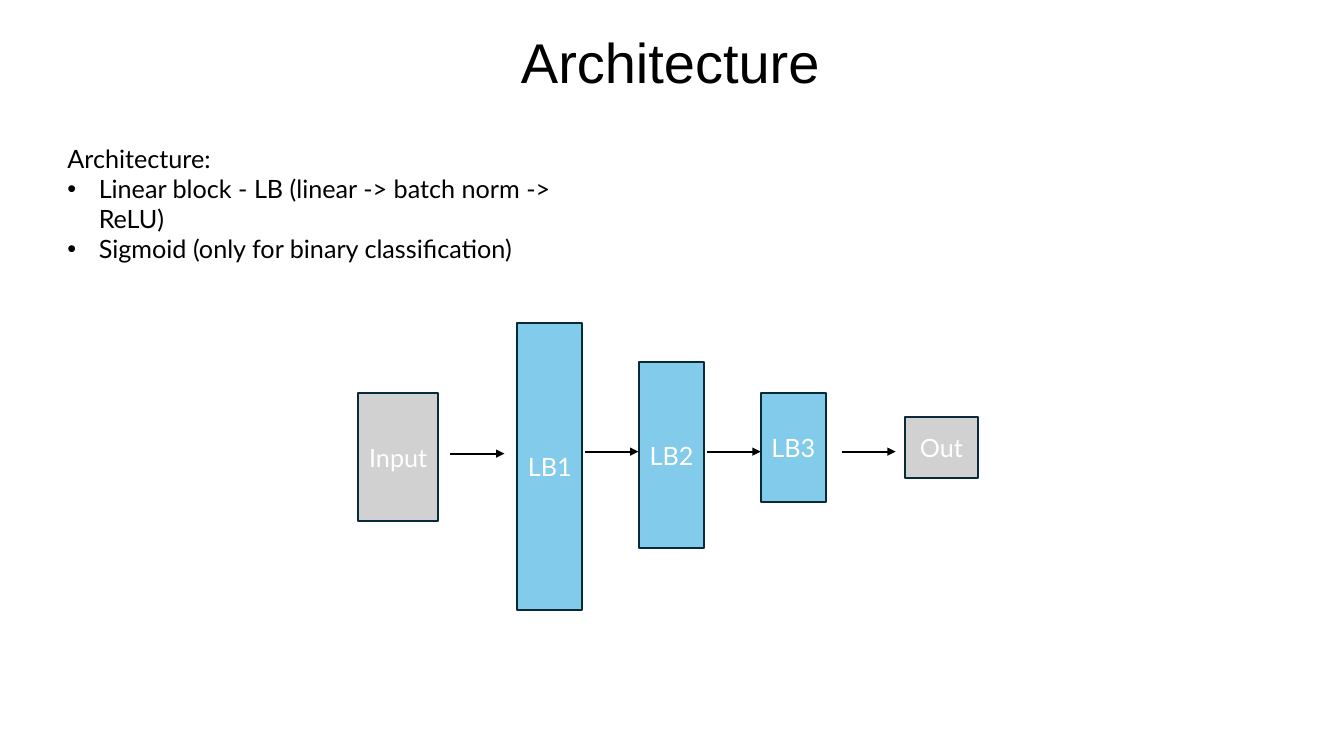
from dataclasses import dataclass

from lxml import etree
from pptx import Presentation
from pptx import util as u
from pptx.dml.color import RGBColor
from pptx.enum import shapes, text
from pptx.oxml import ns


@dataclass(frozen=True)
class Theme:
    """Colours, fonts and sizes of the slide."""
    ink: str = "000000"
    label: str = "FFFFFF"
    outline: str = "092A39"
    linear: str = "83CBEB"
    endpoint: str = "D1D1D1"
    title_font: str = "Arial"
    body_font: str = "Lato"
    title_size: int = 40
    body_size: int = 18
    stroke: float = 1.5


THEME = Theme()


def write(paragraph, words, font=THEME.body_font, size=THEME.body_size,
          color=THEME.ink, align=text.PP_ALIGN.LEFT):
    """Put formatted words into a paragraph."""
    paragraph.alignment = align
    run = paragraph.add_run()
    run.text = words
    run.font.name = font
    run.font.size = u.Pt(size)
    run.font.color.rgb = RGBColor.from_string(color)


def add_bullet(paragraph):
    """Give a paragraph a bullet with a hanging indent."""
    properties = paragraph._p.get_or_add_pPr()
    indent = u.Cm(0.79)
    properties.set("marL", str(indent))
    properties.set("indent", str(-indent))
    etree.SubElement(properties, ns.qn("a:buFont"), typeface="Arial")
    etree.SubElement(properties, ns.qn("a:buChar"), char="•")


def add_text_frame(slide, left, top, width, height):
    """Add a wrapping text box and return its frame."""
    box = slide.shapes.add_textbox(u.Cm(left), u.Cm(top), u.Cm(width), u.Cm(height))
    box.text_frame.word_wrap = True
    return box.text_frame


def add_block(slide, name, left, top, width, height, fill):
    """Add a network block with a centred name."""
    block = slide.shapes.add_shape(shapes.MSO_SHAPE.RECTANGLE, u.Cm(left),
                                   u.Cm(top), u.Cm(width), u.Cm(height))
    block.shadow.inherit = False
    block.fill.solid()
    block.fill.fore_color.rgb = RGBColor.from_string(fill)
    block.line.color.rgb = RGBColor.from_string(THEME.outline)
    block.line.width = u.Pt(THEME.stroke)
    frame = block.text_frame
    frame.margin_left = frame.margin_right = 0
    frame.vertical_anchor = text.MSO_ANCHOR.MIDDLE
    write(frame.paragraphs[0], name, color=THEME.label, align=text.PP_ALIGN.CENTER)


def add_arrow(slide, left, y, length=1.36):
    """Add a horizontal arrow pointing right."""
    arrow = slide.shapes.add_connector(shapes.MSO_CONNECTOR.STRAIGHT, u.Cm(left),
                                       u.Cm(y), u.Cm(left + length), u.Cm(y))
    arrow.line.color.rgb = RGBColor.from_string(THEME.ink)
    arrow.line.width = u.Pt(THEME.stroke)
    etree.SubElement(arrow.line._get_or_add_ln(), ns.qn("a:tailEnd"), type="triangle")
    etree.SubElement(arrow._element.spPr, ns.qn("a:effectLst"))


def main():
    """Build and save the architecture slide."""
    deck = Presentation()
    deck.slide_width, deck.slide_height = u.Cm(33.87), u.Cm(19.05)
    slide = deck.slides.add_slide(deck.slide_layouts[6])

    summary = add_text_frame(slide, 1.45, 3.48, 14.22, 2.57)
    write(summary.paragraphs[0], "Architecture:")
    for component in ("Linear block - LB (linear -> batch norm -> ReLU)",
                      "Sigmoid (only for binary classification)"):
        item = summary.add_paragraph()
        write(item, component)
        add_bullet(item)

    title = add_text_frame(slide, 12.88, 0.58, 8.13, 1.96)
    write(title.paragraphs[0], "Architecture", font=THEME.title_font,
          size=THEME.title_size)

    linear_blocks = ((8.13, 7.24), (9.12, 4.7), (9.91, 2.74))
    for index, (top, height) in enumerate(linear_blocks):
        add_block(slide, f"LB{index + 1}", 13.03 + 3.07 * index, top, 1.65, height,
                  THEME.linear)
    add_block(slide, "Input", 9.02, 9.91, 2.03, 3.23, THEME.endpoint)
    add_block(slide, "Out", 22.81, 10.52, 1.83, 1.52, THEME.endpoint)

    for left, y in ((11.35, 11.43), (14.73, 11.38), (17.81, 11.38), (21.21, 11.38)):
        add_arrow(slide, left, y)

    deck.save("out.pptx")


if __name__ == "__main__":
    main()
